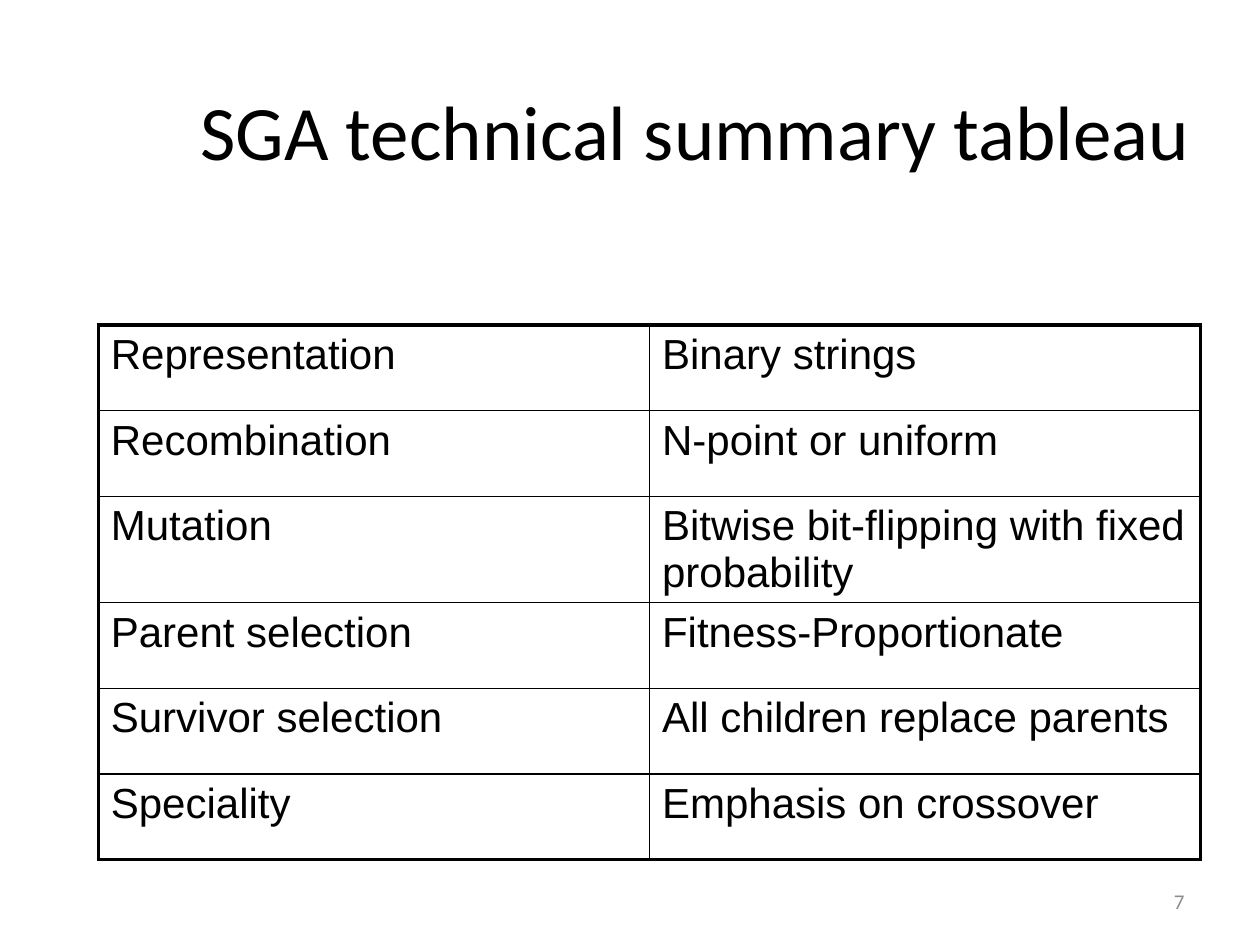
from dataclasses import dataclass

from lxml.etree import SubElement
from pptx import Presentation
from pptx.dml.color import RGBColor
from pptx.enum.text import MSO_ANCHOR, PP_ALIGN
from pptx.oxml.ns import qn
from pptx.util import Inches, Pt

BLACK = RGBColor(0x00, 0x00, 0x00)
GRAY = RGBColor(0x8C, 0x8C, 0x8C)
UNIT = Inches(0.1)
ROW_HEIGHT = 6.8
THIN, THICK = Pt(1), Pt(2.25)


@dataclass(frozen=True)
class Box:
    col: float
    row: float
    cols: float
    rows: float

    def emu(self) -> list[int]:
        return [round(n * UNIT) for n in (self.col, self.row, self.cols, self.rows)]


@dataclass(frozen=True)
class Label:
    text: str
    box: Box
    size: int
    color: RGBColor
    align: PP_ALIGN


@dataclass(frozen=True)
class Feature:
    name: str
    choice: str


LABELS = [
    Label("SGA technical summary tableau", Box(12.6, 2.3, 85.2, 16), 44, BLACK, PP_ALIGN.CENTER),
    Label("7", Box(71.7, 69.5, 23.3, 4), 12, GRAY, PP_ALIGN.RIGHT),
]
FEATURES = [
    Feature("Representation", "Binary strings"),
    Feature("Recombination", "N-point or uniform"),
    Feature("Mutation", "Bitwise bit-flipping with fixed probability"),
    Feature("Parent selection", "Fitness-Proportionate"),
    Feature("Survivor selection", "All children replace parents"),
    Feature("Speciality", "Emphasis on crossover"),
]


def style(p, font: str, size: int, color: RGBColor) -> None:
    for r in p.runs:
        r.font.name = font
        r.font.size = Pt(size)
        r.font.color.rgb = color


def add_label(s, label: Label) -> None:
    tf = s.shapes.add_textbox(*label.box.emu()).text_frame
    tf.word_wrap = True
    tf.vertical_anchor = MSO_ANCHOR.MIDDLE
    tf.text = label.text
    p = tf.paragraphs[0]
    p.alignment = label.align
    style(p, "Calibri", label.size, label.color)


def set_borders(cell, outer: dict[str, bool]) -> None:
    tc_pr = cell._tc.get_or_add_tcPr()
    for i, (side, is_outer) in enumerate(outer.items()):
        ln = SubElement(tc_pr, qn(f"a:ln{side}"), w=str(THICK if is_outer else THIN))
        fill = SubElement(ln, qn("a:solidFill"))
        SubElement(fill, qn("a:srgbClr"), val=str(BLACK))
        tc_pr.insert(i, ln)


def add_features(s, features: list[Feature], box: Box) -> None:
    frame = s.shapes.add_table(len(features), 2, *box.emu())
    table = frame.table
    table.first_row = table.horz_banding = False
    for i, feature in enumerate(features):
        for j, text in enumerate((feature.name, feature.choice)):
            cell = table.cell(i, j)
            cell.fill.background()
            cell.text = text
            style(cell.text_frame.paragraphs[0], "Arial", 24, BLACK)
            set_borders(cell, {"L": j == 0, "R": j == 1, "T": i == 0, "B": i == len(features) - 1})


def main() -> None:
    prs = Presentation()
    prs.slide_width, prs.slide_height = 100 * UNIT, 75 * UNIT
    s = prs.slides.add_slide(prs.slide_layouts[6])
    add_features(s, FEATURES, Box(7.8, 25.8, 87.5, len(FEATURES) * ROW_HEIGHT))
    for label in LABELS:
        add_label(s, label)
    prs.save("out.pptx")


if __name__ == "__main__":
    main()
